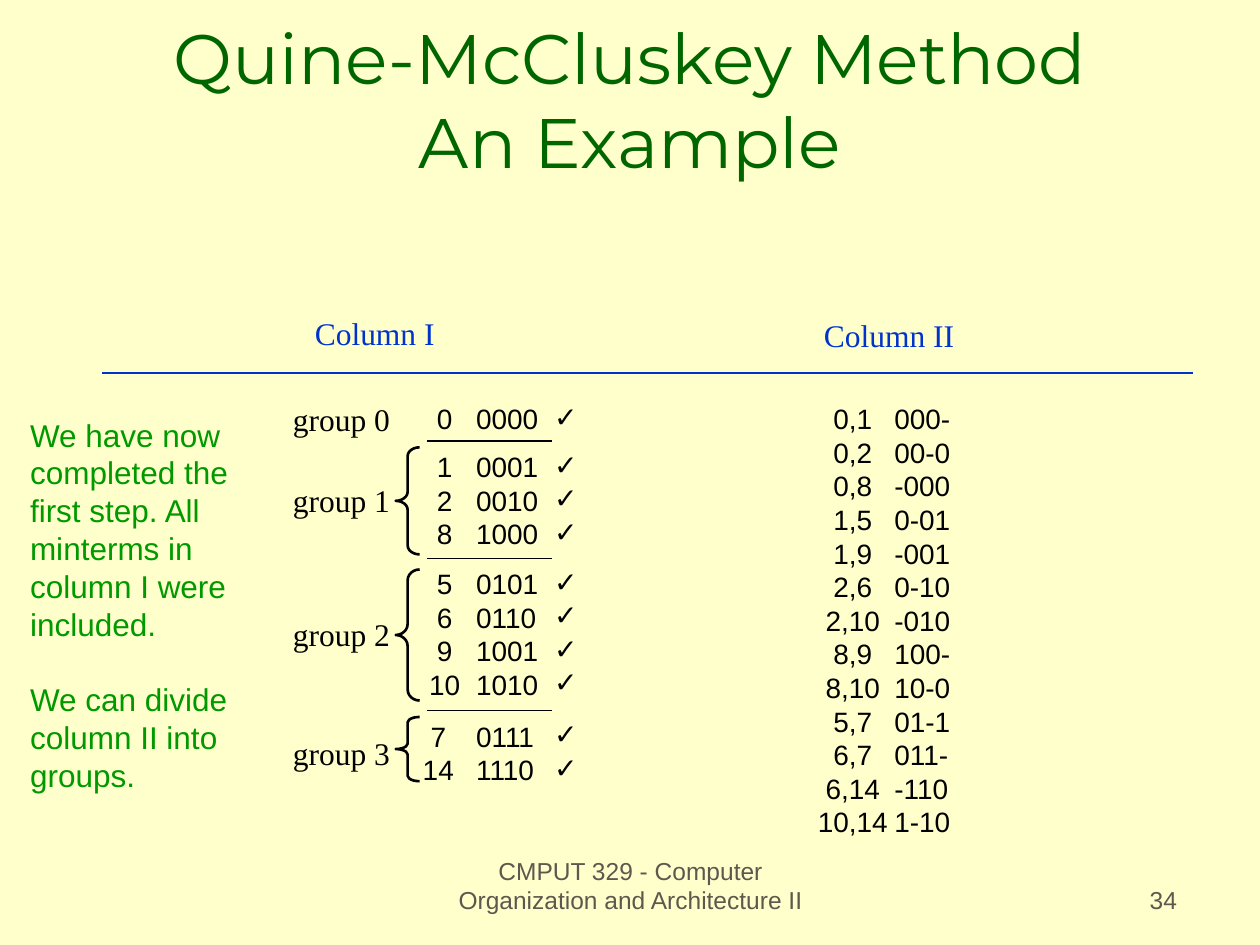
from lxml import etree
from pptx import Presentation
from pptx.dml.color import RGBColor
from pptx.enum import shapes, text
from pptx.oxml.ns import qn
from pptx.util import Inches, Pt

CREAM = RGBColor(0xFF, 0xFF, 0xCC)
DARK_GREEN = RGBColor(0x00, 0x66, 0x00)
GREEN = RGBColor(0x00, 0x99, 0x00)
BLUE = RGBColor(0x00, 0x33, 0xCC)
GREY = RGBColor(0x5E, 0x57, 0x4E)
BLACK = RGBColor(0x00, 0x00, 0x00)

SANS, SERIF, DISPLAY = "Arial", "Times New Roman", "Montserrat"
ROW = 0.266  # line pitch of the 16 pt rows

# top of the group, brace (offset, height), centre of its minterm column, rows
GROUPS = [
    (3.14, None, 0.18, [("0", "0000")]),
    (3.52, (0.03, 0.85), 0.18, [("1", "0001"), ("2", "0010"), ("8", "1000")]),
    (4.45, (0.07, 1.04), 0.18,
     [("5", "0101"), ("6", "0110"), ("9", "1001"), ("10", "1010")]),
    (5.66, (0.03, 0.51), 0.13, [("7", "0111"), ("14", "1110")]),
]
PAIRS = [
    ("0,1", "000-"), ("0,2", "00-0"), ("0,8", "-000"), ("1,5", "0-01"),
    ("1,9", "-001"), ("2,6", "0-10"), ("2,10", "-010"), ("8,9", "100-"),
    ("8,10", "10-0"), ("5,7", "01-1"), ("6,7", "011-"), ("6,14", "-110"),
    ("10,14", "1-10"),
]
NOTES = [
    "We have now completed the first step. All minterms in column I were included.",
    "We can divide column II into groups.",
]


def style(paragraph, size, color, font=SANS, align=text.PP_ALIGN.LEFT):
    paragraph.alignment = align
    paragraph.font.size = Pt(size)
    paragraph.font.name = font
    paragraph.font.color.rgb = color


def add_text(slide, box, lines, size, color, font=SANS,
             align=text.PP_ALIGN.LEFT, anchor=text.MSO_ANCHOR.TOP, wrap=True):
    frame = slide.shapes.add_textbox(*map(Inches, box)).text_frame
    frame.word_wrap = wrap
    frame.vertical_anchor = anchor
    frame.text = "\n".join(lines)
    for paragraph in frame.paragraphs:
        style(paragraph, size, color, font, align)
    return frame


def add_rule(slide, left, right, y, color):
    rule = slide.shapes.add_connector(
        shapes.MSO_CONNECTOR.STRAIGHT, Inches(left), Inches(y), Inches(right), Inches(y))
    rule.line.color.rgb = color
    rule.line.width = Pt(0.75)
    etree.SubElement(rule._element.spPr, qn("a:effectLst"))


def add_brace(slide, left, top, width, height):
    brace = slide.shapes.add_shape(
        shapes.MSO_SHAPE.LEFT_BRACE, *map(Inches, (left, top, width, height)))
    brace.adjustments[0] = height / width / 12
    brace.shadow.inherit = False
    brace.fill.background()
    brace.line.color.rgb = BLACK
    brace.line.width = Pt(1.5)


def add_code_rows(slide, box, rows, term_centre, code_left):
    """Two tabbed columns: centred minterms and left-aligned binary codes."""
    lines = [f"\t{term}\t{code}" for term, code in rows]
    frame = add_text(slide, box, lines, 16, BLACK)
    for paragraph in frame.paragraphs:
        properties = paragraph._p.get_or_add_pPr()
        tabs = etree.Element(qn("a:tabLst"))
        for position, align in ((term_centre, "ctr"), (code_left, "l")):
            etree.SubElement(tabs, qn("a:tab"), pos=str(Inches(position)), algn=align)
        properties.find(qn("a:defRPr")).addprevious(tabs)


def add_title(slide, box):
    title = slide.shapes.title
    title.left, title.top, title.width, title.height = map(Inches, box)
    frame = title.text_frame
    frame.auto_size = text.MSO_AUTO_SIZE.NONE
    frame.vertical_anchor = text.MSO_ANCHOR.BOTTOM
    frame.text = "Quine-McCluskey Method\vAn Example"
    style(frame.paragraphs[0], 40, DARK_GREEN, DISPLAY, text.PP_ALIGN.CENTER)


def add_headings(slide, left, right, y):
    add_rule(slide, left, right, y, BLUE)
    for heading, offset, rise in (("Column I", 1.59, 0.52), ("Column II", 5.63, 0.5)):
        add_text(slide, (left + offset, y - rise, 1.35, 0.4), [heading],
                 18, BLUE, SERIF)


def add_group(slide, left, number, group):
    """One group of column I: label, brace, rule above, rows and check marks."""
    top, brace, term_centre, rows = group
    height = 0.1 + ROW * len(rows)
    add_text(slide, (left, top + height / 2 - 0.2, 0.98, 0.4), [f"group {number}"],
             18, BLACK, SERIF, text.PP_ALIGN.CENTER, wrap=False)
    add_code_rows(slide, (left + 1.03, top, 1.12, height), rows, term_centre, 0.43)
    if brace:
        offset, brace_height = brace
        add_rule(slide, left + 1.17, left + 2.16, top - 0.02, BLACK)
        add_brace(slide, left + 0.92, top + offset, 0.19, brace_height)
    for row in range(len(rows)):
        add_text(slide, (left + 2.08, top - 0.02 + ROW * row, 0.37, 0.37), ["✓"],
                 16, BLACK, wrap=False)


def add_notes(slide, box):
    frame = add_text(slide, box, NOTES, 18, GREEN)
    frame.paragraphs[1].space_before = Pt(21.5)


def add_footer(slide, top, height):
    for label, left, width, align in (
            ("CMPUT 329 - Computer Organization and Architecture II",
             3.42, 3.17, text.PP_ALIGN.CENTER),
            ("34", 7.36, 2.08, text.PP_ALIGN.RIGHT)):
        add_text(slide, (left, top, width, height), [label], 14, GREY,
                 align=align, anchor=text.MSO_ANCHOR.BOTTOM)


def main():
    deck = Presentation()
    deck.slide_width, deck.slide_height = Inches(10), Inches(7.5)
    slide = deck.slides.add_slide(deck.slide_layouts[5])
    slide.background.fill.solid()
    slide.background.fill.fore_color.rgb = CREAM

    add_title(slide, (0.75, 0.25, 8.5, 1.25))
    add_headings(slide, 0.81, 9.47, 2.96)
    add_notes(slide, (0.14, 3.25, 1.85, 3.1))
    for number, group in enumerate(GROUPS):
        add_group(slide, 2.22, number, group)
    add_code_rows(slide, (6.39, 3.14, 1.26, 3.57), PAIRS, 0.28, 0.61)
    add_footer(slide, 6.81, 0.5)
    deck.save("out.pptx")


if __name__ == "__main__":
    main()
